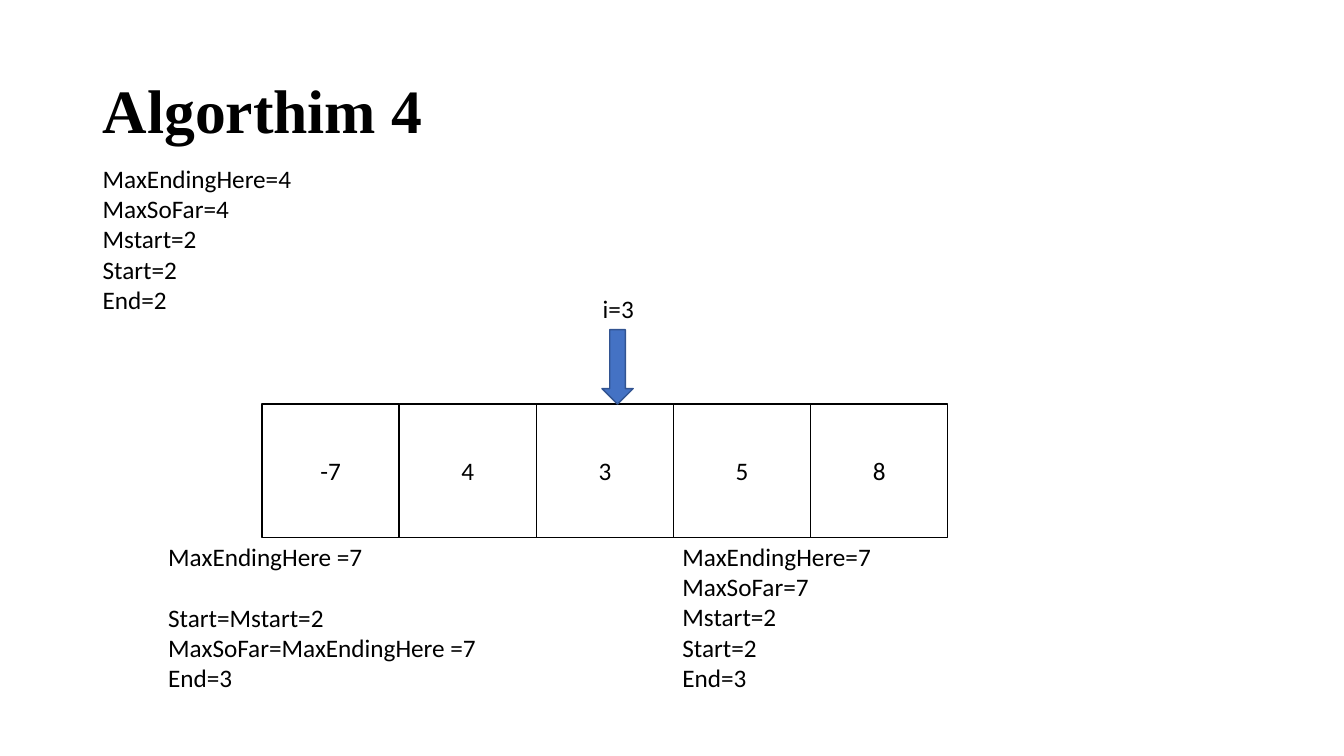
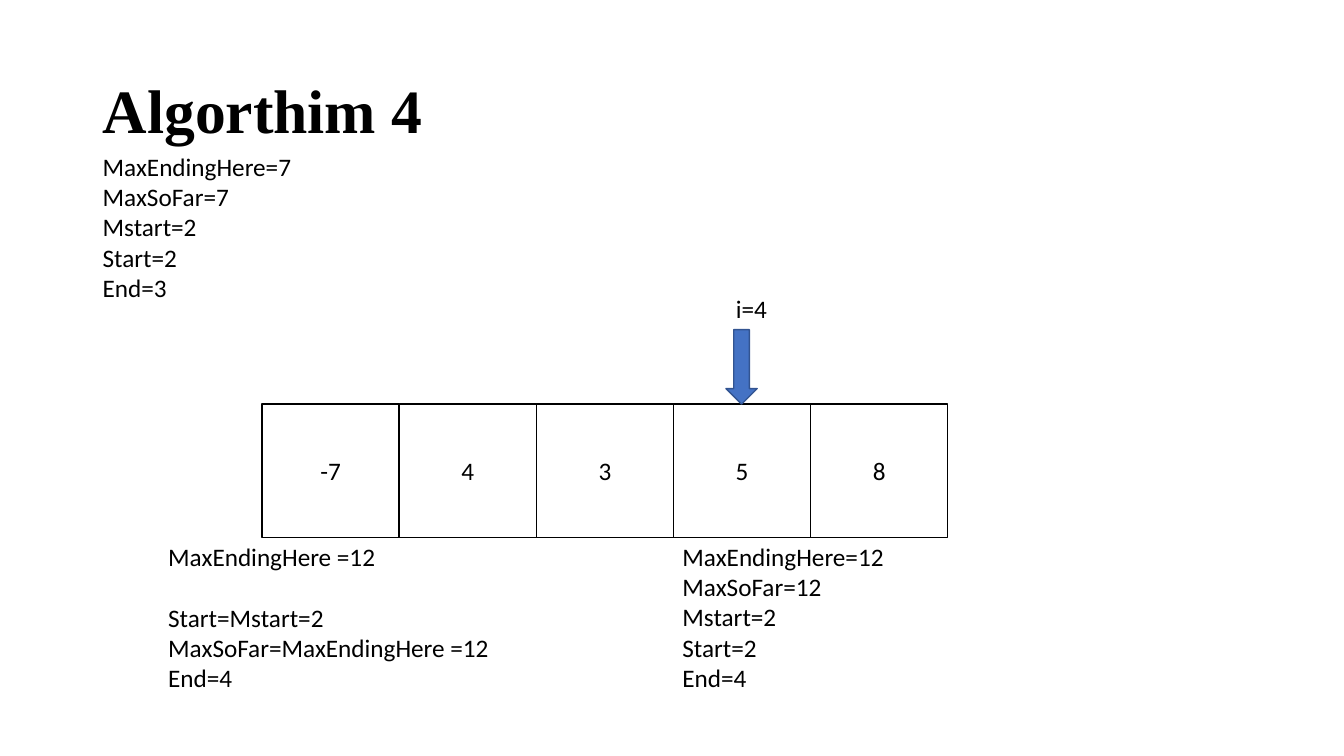
from dataclasses import dataclass

from pptx import Presentation
from pptx.dml.color import RGBColor
from pptx.enum.shapes import MSO_SHAPE
from pptx.enum.text import MSO_ANCHOR, PP_ALIGN
from pptx.util import Pt

PX = 9144  # EMU per px, 100 px to the inch

BLACK = RGBColor(0x00, 0x00, 0x00)
WHITE = RGBColor(0xFF, 0xFF, 0xFF)
BLUE = RGBColor(0x44, 0x72, 0xC4)
DARK_BLUE = RGBColor(0x32, 0x54, 0x91)

TITLE = "Algorthim 4"
TITLE_FONT = "Times New Roman"
BODY_FONT = "Calibri"
BODY_SIZE = 18
LINE_GAP = 22  # points, one line of body text

NUMBERS = (-7, 4, 3, 5, 8)
CELL_LEFT, CELL_TOP, CELL_WIDTH, CELL_HEIGHT = 260, 401, 136, 132
RESULT_TOP, BLOCK_HEIGHT = 532, 162


@dataclass
class Step:
    index: int
    old_max: int
    new_max: int
    state_top: int
    arrow_left: int
    label_left: int


STEPS = (
    Step(3, 4, 7, state_top=157, arrow_left=597, label_left=588),
    Step(4, 7, 12, state_top=145, arrow_left=720, label_left=720),
)


def px(*lengths):
    return [length * PX for length in lengths]


def add_span(para, text, font=BODY_FONT, size=BODY_SIZE, bold=False):
    span = para.add_run()
    span.text = text
    span.font.name = font
    span.font.size = Pt(size)
    span.font.bold = bold
    span.font.color.rgb = BLACK


def add_title(page):
    box = page.shapes.add_textbox(*px(92, 40, 1150, 145))
    frame = box.text_frame
    frame.word_wrap = True
    frame.vertical_anchor = MSO_ANCHOR.MIDDLE
    para = frame.paragraphs[0]
    para.line_spacing = 0.9
    add_span(para, TITLE, TITLE_FONT, 44, bold=True)


def add_lines(page, left, top, width, height, lines, gap_before=None):
    """Add one paragraph per line; gap_before is the line set apart."""
    box = page.shapes.add_textbox(*px(left, top, width, height))
    frame = box.text_frame
    frame.word_wrap = True
    for number, line in enumerate(lines):
        para = frame.add_paragraph() if number else frame.paragraphs[0]
        if number and number == gap_before:
            para.space_before = Pt(LINE_GAP)
        add_span(para, line)


def add_block(page, kind, left, top, width, height, fill, line):
    block = page.shapes.add_shape(kind, *px(left, top, width, height))
    block.shadow.inherit = False
    block.fill.solid()
    block.fill.fore_color.rgb = fill
    block.line.color.rgb = line
    block.line.width = Pt(1)
    return block


def add_array(page):
    for column, number in enumerate(NUMBERS):
        cell = add_block(page, MSO_SHAPE.RECTANGLE,
                         CELL_LEFT + column * CELL_WIDTH, CELL_TOP,
                         CELL_WIDTH, CELL_HEIGHT, WHITE, BLACK)
        cell.text_frame.vertical_anchor = MSO_ANCHOR.MIDDLE
        para = cell.text_frame.paragraphs[0]
        para.alignment = PP_ALIGN.CENTER
        add_span(para, str(number))


def state_lines(maximum, end):
    return (f"MaxEndingHere={maximum}", f"MaxSoFar={maximum}",
            "Mstart=2", "Start=2", f"End={end}")


def add_step(page, step):
    add_title(page)
    add_array(page)

    # Pointer to the current number
    add_block(page, MSO_SHAPE.DOWN_ARROW, step.arrow_left, 327, 31, 74,
              BLUE, DARK_BLUE)
    add_lines(page, step.label_left, 286, 567, 40, [f"i={step.index}"])

    # Variables before the step
    add_lines(page, 92, step.state_top, 240, BLOCK_HEIGHT,
              state_lines(step.old_max, step.index - 1))

    # Assignments and variables after the step
    assignments = (f"MaxEndingHere ={step.new_max}", "Start=Mstart=2",
                   f"MaxSoFar=MaxEndingHere ={step.new_max}",
                   f"End={step.index}")
    add_lines(page, 157, RESULT_TOP, 543, BLOCK_HEIGHT, assignments,
              gap_before=1)
    add_lines(page, 667, RESULT_TOP, 567, BLOCK_HEIGHT,
              state_lines(step.new_max, step.index))


def main():
    deck = Presentation()
    deck.slide_width, deck.slide_height = px(1333, 750)
    blank = deck.slide_layouts[6]
    for step in STEPS:
        add_step(deck.slides.add_slide(blank), step)
    deck.save("out.pptx")


if __name__ == "__main__":
    main()
